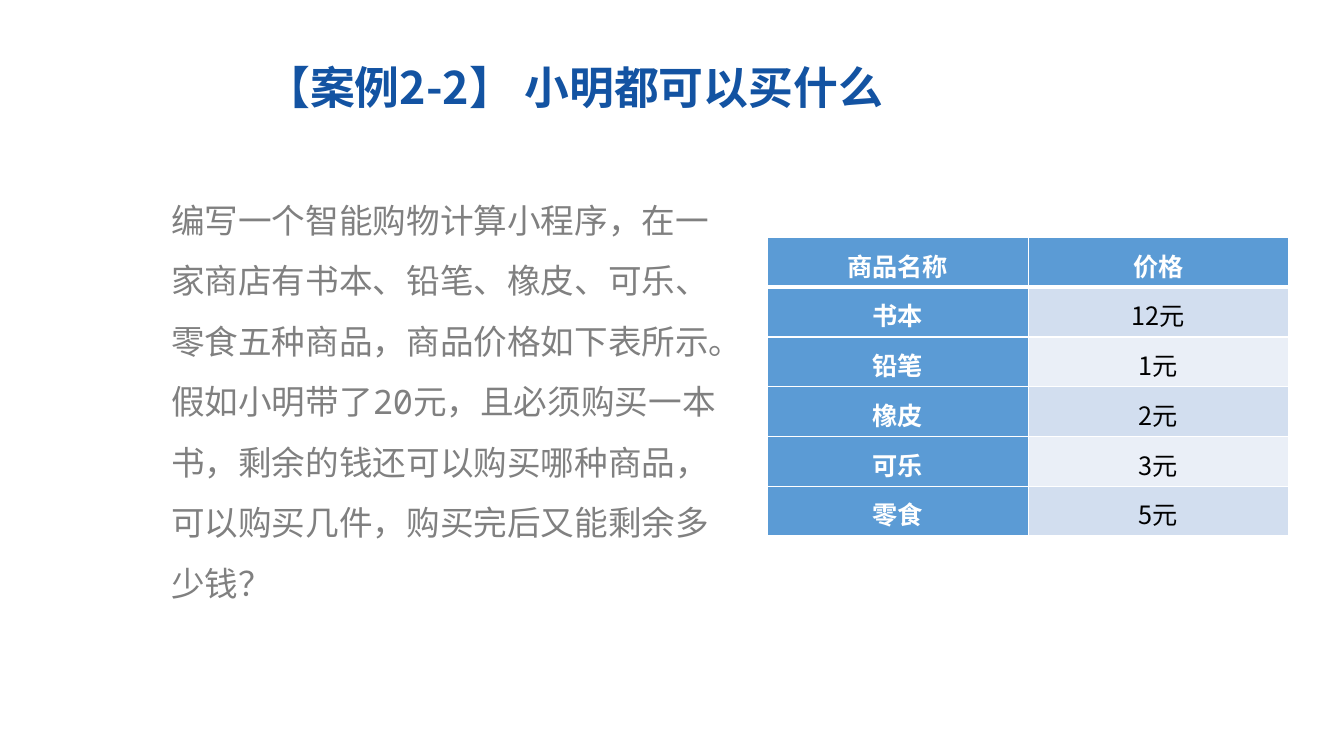
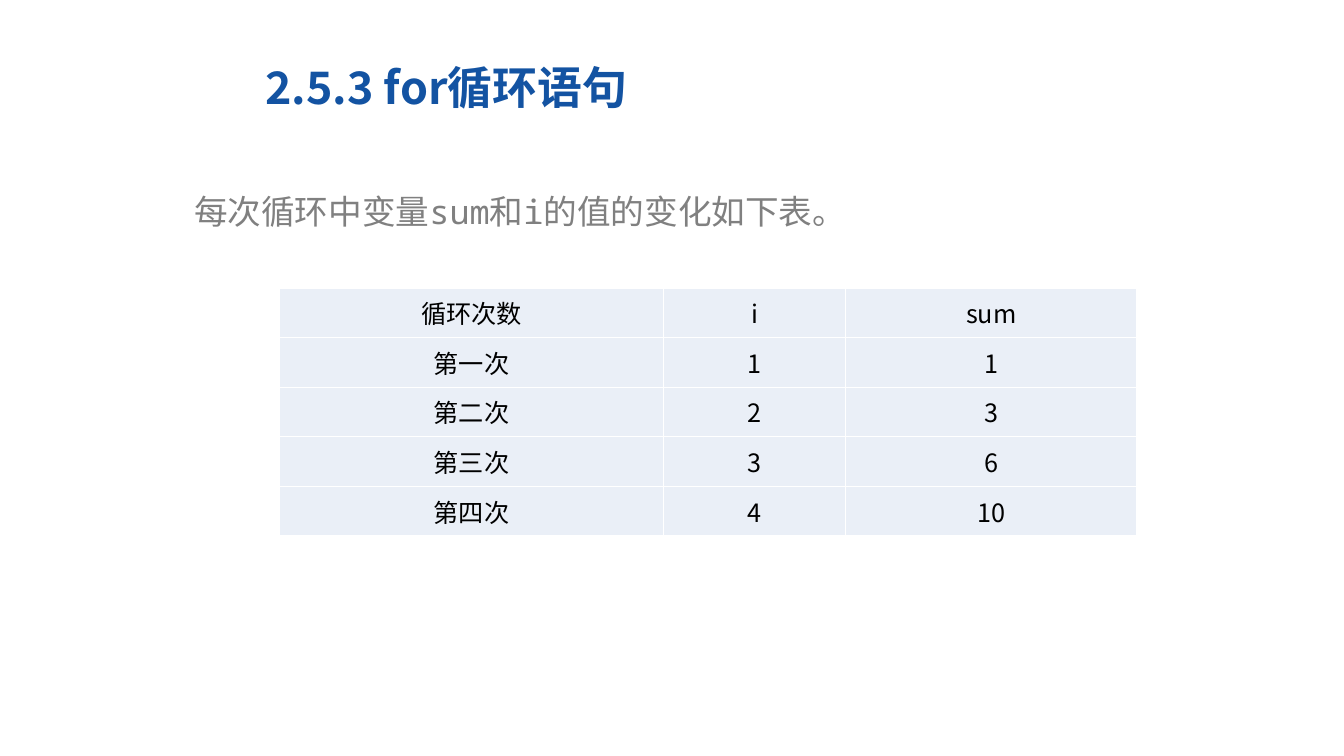
from lxml.etree import SubElement
from pptx import Presentation
from pptx.dml.color import RGBColor
from pptx.enum.lang import MSO_LANGUAGE_ID as Language
from pptx.enum.text import MSO_ANCHOR as Anchor, PP_ALIGN as Align
from pptx.oxml.ns import qn
from pptx.util import Inches, Pt

# Shared look
TITLE_BLUE = RGBColor(0x13, 0x53, 0xA2)
BODY_GRAY = RGBColor(0x80, 0x80, 0x80)
HEAD_BLUE = RGBColor(0x5B, 0x9B, 0xD5)
BAND_DARK = RGBColor(0xD2, 0xDE, 0xEF)
BAND_LIGHT = RGBColor(0xEA, 0xEF, 0xF7)
WHITE = RGBColor(0xFF, 0xFF, 0xFF)
BLACK = RGBColor(0x00, 0x00, 0x00)
SANS, MONO = "Noto Sans CJK SC", "Noto Sans Mono"
SLIDE_WIDTH, SLIDE_HEIGHT = Inches(13.33), Inches(7.5)

# Boxes: left, top, width, height in percent of the slide
TITLE_BOX = (19, 7.3, 51.9, 8.5)


def place(box):
    """Turn a percent box into slide lengths."""
    sides = (SLIDE_WIDTH, SLIDE_HEIGHT) * 2
    return [int(side * share / 100) for side, share in zip(sides, box)]


def write(para, text, size, color, face=SANS, bold=False, spacing=1.0):
    para.text = text
    para.line_spacing = spacing
    for span in para.runs:
        font = span.font
        font.size, font.bold, font.name = Pt(size), bold, face
        font.color.rgb = color
        font.language_id = Language.SIMPLIFIED_CHINESE
        # East Asian glyphs always use the sans face
        SubElement(span._r.rPr, qn("a:ea"), typeface=SANS)


def add_text(page, box, text, *style, **options):
    frame = page.shapes.add_textbox(*place(box)).text_frame
    frame.word_wrap = True
    write(frame.paragraphs[0], text, *style, **options)


def add_title(page, text):
    add_text(page, TITLE_BOX, text, 32, TITLE_BLUE, bold=True)


def add_body(page, box, text):
    add_text(page, box, text, 24, BODY_GRAY, face=MONO, spacing=1.5)


def set_borders(cell, **widths):
    """Draw white borders; they must stand before the cell fill."""
    properties = cell._tc.get_or_add_tcPr()
    for index, side in enumerate("LRTB"):
        line = SubElement(properties, qn(f"a:ln{side}"),
                          w=str(Pt(widths.get(side, 1))))
        fill = SubElement(line, qn("a:solidFill"))
        SubElement(fill, qn("a:srgbClr"), val=str(WHITE))
        properties.insert(index, line)


def add_grid(page, box, rows, weights, headed=False, spacing=1.0):
    """Table with plain light cells, or with a blue header row and column."""
    left, top, width, height = place(box)
    table = page.shapes.add_table(len(rows), len(weights),
                                  left, top, width, height).table
    table.first_row = table.horz_banding = False
    for column, weight in zip(table.columns, weights):
        column.width = int(width * weight / sum(weights))
    for r, values in enumerate(rows):
        table.rows[r].height = height // len(rows)
        for c, value in enumerate(values):
            cell = table.cell(r, c)
            heading = headed and (r == 0 or c == 0)
            band = BAND_DARK if headed and r % 2 else BAND_LIGHT
            cell.fill.solid()
            cell.fill.fore_color.rgb = HEAD_BLUE if heading else band
            cell.vertical_anchor = Anchor.MIDDLE
            cell.margin_left = cell.margin_right = Inches(0.07)
            cell.margin_top = cell.margin_bottom = 0
            para = cell.text_frame.paragraphs[0]
            para.alignment = Align.CENTER
            write(para, value, 18, WHITE if heading else BLACK,
                  bold=heading, spacing=spacing)
            # Thick rule below the header row
            set_borders(cell, T=3 if headed and r == 1 else 1,
                        B=3 if headed and r == 0 else 1)


def build_shopping_case(page):
    add_title(page, "【案例2-2】 小明都可以买什么")
    add_body(page, (12, 23.1, 42.75, 55.9),
             "编写一个智能购物计算小程序，在一家商店有书本、铅笔、橡皮、可乐、"
             "零食五种商品，商品价格如下表所示。假如小明带了20元，且必须购买一本书，"
             "剩余的钱还可以购买哪种商品，可以购买几件，购买完后又能剩余多少钱？")
    prices = [("商品名称", "价格"), ("书本", "12元"), ("铅笔", "1元"),
              ("橡皮", "2元"), ("可乐", "3元"), ("零食", "5元")]
    add_grid(page, (57.1, 31.4, 38.8, 39.5), prices, (1, 1),
             headed=True, spacing=1.15)


def build_for_loop(page):
    add_title(page, "2.5.3 for循环语句")
    add_body(page, (13.7, 21.9, 79.8, 10.9),
             "每次循环中变量sum和i的值的变化如下表。")
    steps = [("循环次数", "i", "sum"), ("第一次", "1", "1"),
             ("第二次", "2", "3"), ("第三次", "3", "6"), ("第四次", "4", "10")]
    add_grid(page, (20.8, 38.1, 63.8, 32.8), steps, (3.81, 1.81, 2.89))


def main():
    deck = Presentation()
    deck.slide_width, deck.slide_height = SLIDE_WIDTH, SLIDE_HEIGHT
    for build in (build_shopping_case, build_for_loop):
        build(deck.slides.add_slide(deck.slide_layouts[6]))
    deck.save("out.pptx")


if __name__ == "__main__":
    main()
